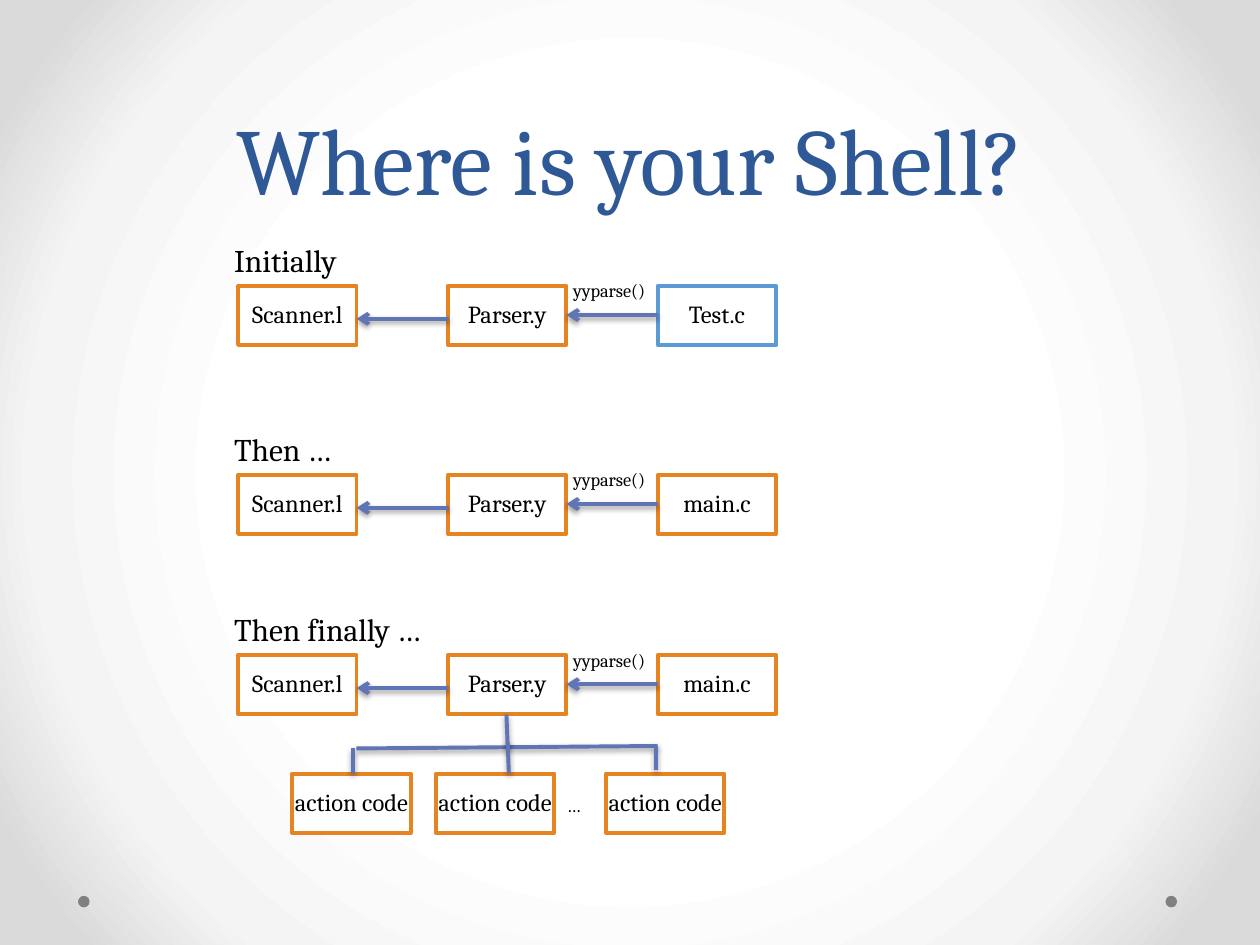
from dataclasses import dataclass
from pptx import Presentation
from pptx.dml.color import RGBColor as RGB
from pptx.enum.shapes import MSO_CONNECTOR as CONN, MSO_SHAPE as SHAPE
from pptx.enum.text import MSO_ANCHOR as ANCHOR, MSO_AUTO_SIZE as AUTO, PP_ALIGN as ALIGN
from pptx.oxml import parse_xml
from pptx.oxml.ns import nsdecls
from pptx.util import Pt


@dataclass(frozen=True)
class Theme:
    """Colours, font and type sizes of the slide."""
    font: str = "Cambria"
    title: str = "2F5897"
    text: str = "000000"
    paper: str = "FFFFFF"
    orange: str = "E68422"
    blue: str = "5B9BD5"
    link: str = "6076B4"
    dot: str = "808080"
    backdrop: tuple = ((50, "FFFFFF"), (76, "F4F4F4"), (92, "DADADA"))
    title_size: float = 54
    label_size: float = 18
    box_size: float = 14
    note_size: float = 10.5
    stroke: float = 2.25


T = Theme()
BOX_W, BOX_H, BOX_STEP = 67.7, 33.8, 119.9
BOX_FORMAT = dict(vertical_anchor=ANCHOR.MIDDLE, word_wrap=True, margin_left=Pt(0.7),
                  margin_right=Pt(0.7), margin_top=Pt(0.7), margin_bottom=Pt(0.7))
LABEL_FORMAT = dict(word_wrap=False, auto_size=AUTO.SHAPE_TO_FIT_TEXT)


def apply(target, values):
    """Set each named format value on the target."""
    for name, value in values.items():
        setattr(target, name, value)


def write(tf, text, size, color, frame, para):
    """Write one formatted paragraph into a text frame."""
    apply(tf, frame)
    p = tf.paragraphs[0]
    apply(p, para)
    r = p.add_run()
    r.text = text
    apply(r.font, dict(name=T.font, size=Pt(size)))
    r.font.color.rgb = RGB.from_string(color)


def add_box(shapes, x, y, text, color=T.orange):
    """Add an outlined box with centred text."""
    sp = shapes.add_shape(SHAPE.RECTANGLE, Pt(x), Pt(y), Pt(BOX_W), Pt(BOX_H))
    sp.shadow.inherit = False
    sp.fill.solid()
    sp.fill.fore_color.rgb = RGB.from_string(T.paper)
    sp.line.color.rgb = RGB.from_string(color)
    sp.line.width = Pt(T.stroke)
    write(sp.text_frame, text, T.box_size, T.text, BOX_FORMAT,
          dict(alignment=ALIGN.CENTER, line_spacing=0.9))


def add_label(shapes, x, y, w, h, text, size):
    """Add a plain one-line label."""
    sp = shapes.add_textbox(Pt(x), Pt(y), Pt(w), Pt(h))
    write(sp.text_frame, text, size, T.text, LABEL_FORMAT, {})


def add_link(shapes, x1, y1, x2, y2, arrow=False):
    """Add a shadowed line, with an arrowhead at its end if wanted."""
    c = shapes.add_connector(CONN.STRAIGHT, Pt(x1), Pt(y1), Pt(x2), Pt(y2))
    c.line.color.rgb = RGB.from_string(T.link)
    c.line.width = Pt(T.stroke)
    if arrow:
        c.line._get_or_add_ln().append(parse_xml(f'<a:tailEnd {nsdecls("a")} type="arrow"/>'))
    c._element.spPr.append(parse_xml(
        f'<a:effectLst {nsdecls("a")}><a:outerShdw blurRad="40000" dist="20000" dir="5400000" '
        'rotWithShape="0"><a:srgbClr val="000000"><a:alpha val="38000"/></a:srgbClr>'
        '</a:outerShdw></a:effectLst>'))


def add_stage(shapes, x, y, label, label_w, caller, caller_color):
    """Add a labelled row of scanner, parser and caller boxes."""
    row = y + 29.3
    lefts = [x + 9.4 + i * BOX_STEP for i in range(3)]
    boxes = zip(lefts, ("Scanner.l", "Parser.y", caller), (T.orange, T.orange, caller_color))
    for left, text, color in boxes:
        add_box(shapes, left, row, text, color)
    add_link(shapes, lefts[2], row + 16.6, lefts[1] + BOX_W, row + 16.6, True)
    add_link(shapes, lefts[1] + 0.8, row + 18.8, lefts[0] + BOX_W, row + 18.8, True)
    add_label(shapes, x, y, label_w, 29, label, T.label_size)
    add_label(shapes, x + 193.7, row - 7.2, 59, 20, "yyparse()", T.note_size)


def add_actions(shapes, x, y):
    """Add the action boxes and the branches leading to them."""
    for dx in (0, 82.1, 179.3):
        add_box(shapes, x + dx, y + 33.8, "action code")
    add_label(shapes, x + 149.8, y + 41.8, 25.2, 20, "…", T.note_size)
    branches = ((36.7, 19.4, 208.8, 18), (122.4, 0, 123.1, 18), (123.1, 15.8, 123.8, 33.8),
                (34.6, 19.4, 34.6, 33.8), (208.1, 18, 208.1, 31.7))
    for x1, y1, x2, y2 in branches:
        add_link(shapes, x + x1, y + y1, x + x2, y + y2)


def add_backdrop(s):
    """Give the slide its radial background and two corner dots."""
    s.background.fill.gradient()
    grad = s._element.cSld.bg.bgPr[0]
    stops = "".join(f'<a:gs pos="{pos * 1000}"><a:srgbClr val="{color}"/></a:gs>'
                    for pos, color in T.backdrop)
    grad.getparent().replace(grad, parse_xml(
        f'<a:gradFill {nsdecls("a")} rotWithShape="1"><a:gsLst>{stops}</a:gsLst>'
        '<a:path path="circle"><a:fillToRect l="50000" t="50000" r="50000" b="50000"/>'
        '</a:path></a:gradFill>'))
    for x in (666, 44.6):
        dot = s.shapes.add_shape(SHAPE.OVAL, Pt(x), Pt(511.9), Pt(6.6), Pt(6.6))
        dot.shadow.inherit = False
        dot.fill.solid()
        dot.fill.fore_color.rgb = RGB.from_string(T.dot)
        dot.line.fill.background()


def add_title(s, x, y, w, h, text):
    """Place and format the title placeholder."""
    title = s.shapes.title
    apply(title, dict(left=Pt(x), top=Pt(y), width=Pt(w), height=Pt(h)))
    write(title.text_frame, text, T.title_size, T.title,
          dict(vertical_anchor=ANCHOR.BOTTOM, word_wrap=True, auto_size=AUTO.NONE),
          dict(alignment=ALIGN.CENTER, line_spacing=Pt(58)))


def main():
    """Build and save the slide."""
    prs = Presentation()
    prs.slide_width, prs.slide_height = Pt(720), Pt(540)
    s = prs.slides.add_slide(prs.slide_layouts[5])
    add_backdrop(s)
    add_title(s, 36, 0, 648, 126, "Where is your Shell?")
    stages = ((134.1, "Initially", 77.8, "Test.c", T.blue),
              (242.1, "Then …", 78.5, "main.c", T.orange),
              (345.1, "Then finally …", 133.9, "main.c", T.orange))
    for y, *parts in stages:
        group = s.shapes.add_group_shape()
        add_stage(group.shapes, 126.7, y, *parts)
    add_actions(group.shapes, 167, 408.3)
    prs.save("out.pptx")


main()
